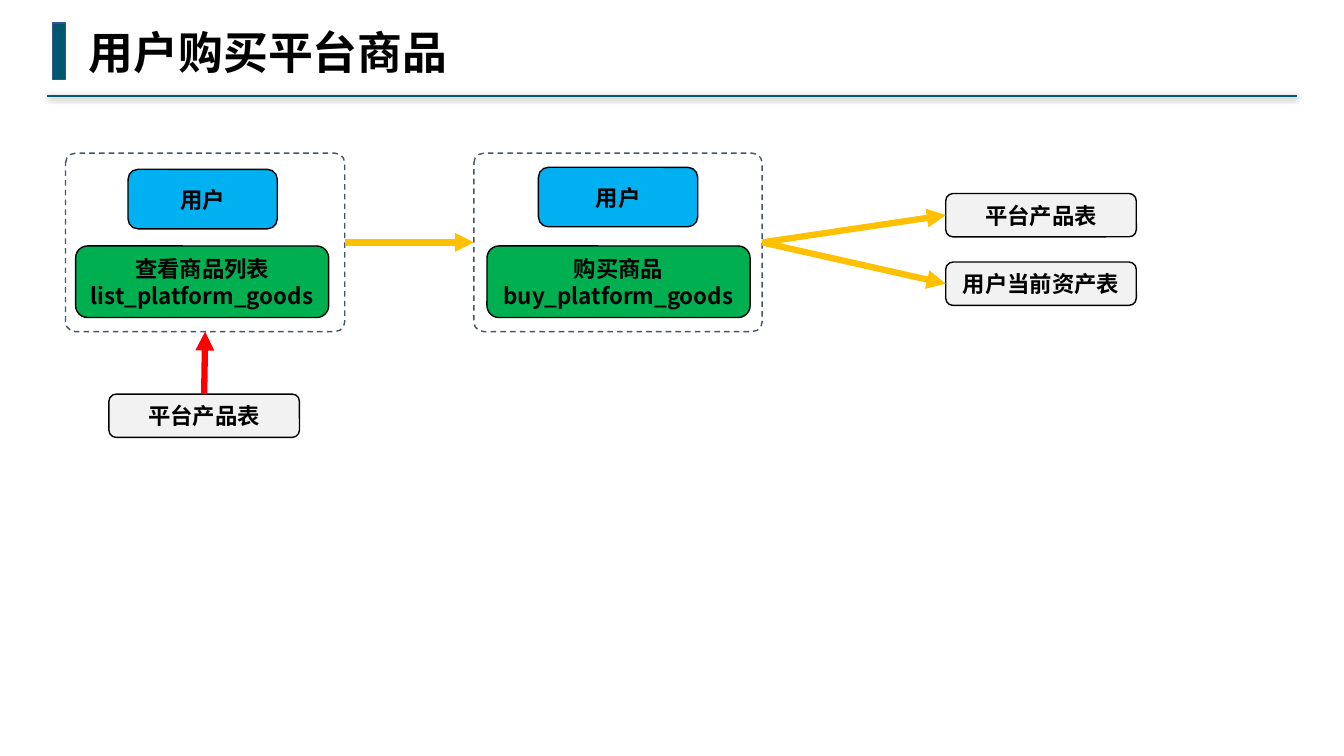
from lxml import etree
from pptx import Presentation
from pptx.dml.color import RGBColor
from pptx.enum import dml, shapes, text
from pptx.oxml import ns
from pptx.util import Inches, Pt

BLACK = RGBColor(0x00, 0x00, 0x00)
TEAL = RGBColor(0x00, 0x57, 0x6E)
NAVY = RGBColor(0x32, 0x54, 0x91)
SLATE = RGBColor(0x44, 0x54, 0x6A)
BLUE = RGBColor(0x00, 0xB0, 0xF0)
GREEN = RGBColor(0x00, 0xB0, 0x50)
GREY = RGBColor(0xF2, 0xF2, 0xF2)
AMBER = RGBColor(0xFF, 0xC0, 0x00)
RED = RGBColor(0xFF, 0x00, 0x00)

TITLE = "用户购买平台商品"
LABEL_FONT = "Noto Sans CJK SC"
FRAMES = {
    "list": (0.65, 1.52, 2.77, 1.77),
    "buy": (4.7, 1.52, 2.86, 1.77),
}
ACTIONS = [
    ("用户", BLUE, (1.27, 1.68, 1.48, 0.59)),
    ("查看商品列表\nlist_platform_goods", GREEN, (0.75, 2.44, 2.51, 0.71)),
    ("用户", BLUE, (5.34, 1.66, 1.58, 0.59)),
    ("购买商品\nbuy_platform_goods", GREEN, (4.83, 2.44, 2.61, 0.71)),
]
TABLES = {
    "source": ("平台产品表", 1.08, 3.91),
    "products": ("平台产品表", 9.38, 1.92),
    "assets": ("用户当前资产表", 9.38, 2.6),
}
TABLE_SIZE = (1.89, 0.43)
TOP, LEFT, BOTTOM, RIGHT = range(4)
ARROWS = [
    ("list", RIGHT, "buy", LEFT, AMBER),
    ("buy", RIGHT, "assets", LEFT, AMBER),
    ("buy", RIGHT, "products", LEFT, AMBER),
    ("source", TOP, "list", BOTTOM, RED),
]


def add_box(kind, place, fill, line_color):
    box = page.shapes.add_shape(kind, *map(Inches, place))
    box.shadow.inherit = False
    if fill is None:
        box.fill.background()
    else:
        box.fill.solid()
        box.fill.fore_color.rgb = fill
    box.line.color.rgb = line_color
    box.line.width = Pt(1)
    return box


def add_label_box(label, fill, place):
    box = add_box(shapes.MSO_SHAPE.ROUNDED_RECTANGLE, place, fill, BLACK)
    frame = box.text_frame
    frame.word_wrap = False
    frame.vertical_anchor = text.MSO_ANCHOR.MIDDLE
    frame.margin_left = frame.margin_right = Inches(0.04)
    frame.margin_top = frame.margin_bottom = Inches(0.04)
    frame.text = label
    for para in frame.paragraphs:
        para.alignment = text.PP_ALIGN.CENTER
        for span in para.runs:
            style_font(span.font, LABEL_FONT, 16)
            east_asian = etree.SubElement(span.font._element, ns.qn("a:ea"))
            east_asian.set("typeface", LABEL_FONT)
    return box


def style_font(font, name, size):
    font.name = name
    font.size = Pt(size)
    font.bold = True
    font.color.rgb = BLACK


def add_line(start, end, color, width):
    line = page.shapes.add_connector(
        shapes.MSO_CONNECTOR.STRAIGHT, *map(Inches, start + end))
    line.line.color.rgb = color
    line.line.width = Pt(width)
    effects = etree.SubElement(line._element.spPr, ns.qn("a:effectLst"))
    return line, effects


deck = Presentation()
deck.slide_width, deck.slide_height = Inches(13.33), Inches(7.5)
page = deck.slides.add_slide(deck.slide_layouts[5])

title = page.shapes.title
title.left, title.top, title.width, title.height = map(
    Inches, (0.78, 0.19, 3.79, 0.64))
title.text_frame.text = TITLE
title.text_frame.word_wrap = False
title.text_frame.auto_size = text.MSO_AUTO_SIZE.SHAPE_TO_FIT_TEXT
title.text_frame.vertical_anchor = text.MSO_ANCHOR.TOP
heading = title.text_frame.paragraphs[0]
heading.alignment = text.PP_ALIGN.LEFT
style_font(heading.font, "DejaVu Sans Mono", 32)

add_box(shapes.MSO_SHAPE.RECTANGLE, (0.52, 0.23, 0.13, 0.56), TEAL, NAVY)
rule, effects = add_line((12.86, 0.95), (0.47, 0.95), TEAL, 1.5)
shadow = etree.SubElement(
    effects, ns.qn("a:outerShdw"), blurRad=str(Pt(4)), dist=str(Pt(1)),
    dir="5400000", algn="t", rotWithShape="0")
shade = etree.SubElement(shadow, ns.qn("a:srgbClr"), val=str(BLACK))
etree.SubElement(shade, ns.qn("a:alpha"), val="40000")

nodes = {}
for name, place in FRAMES.items():
    frame_box = add_box(
        shapes.MSO_SHAPE.ROUNDED_RECTANGLE, place, None, SLATE)
    frame_box.adjustments[0] = 0.055
    frame_box.line.dash_style = dml.MSO_LINE.DASH
    nodes[name] = frame_box

for label, fill, place in ACTIONS:
    add_label_box(label, fill, place)

for name, (label, left, top) in TABLES.items():
    nodes[name] = add_label_box(label, GREY, (left, top) + TABLE_SIZE)

for origin, exit_side, target, entry_side, color in ARROWS:
    arrow, effects = add_line((0, 0), (1, 1), color, 4.5)
    arrow.begin_connect(nodes[origin], exit_side)
    arrow.end_connect(nodes[target], entry_side)
    etree.SubElement(
        arrow.line._get_or_add_ln(), ns.qn("a:tailEnd"), type="triangle")

deck.save("out.pptx")
